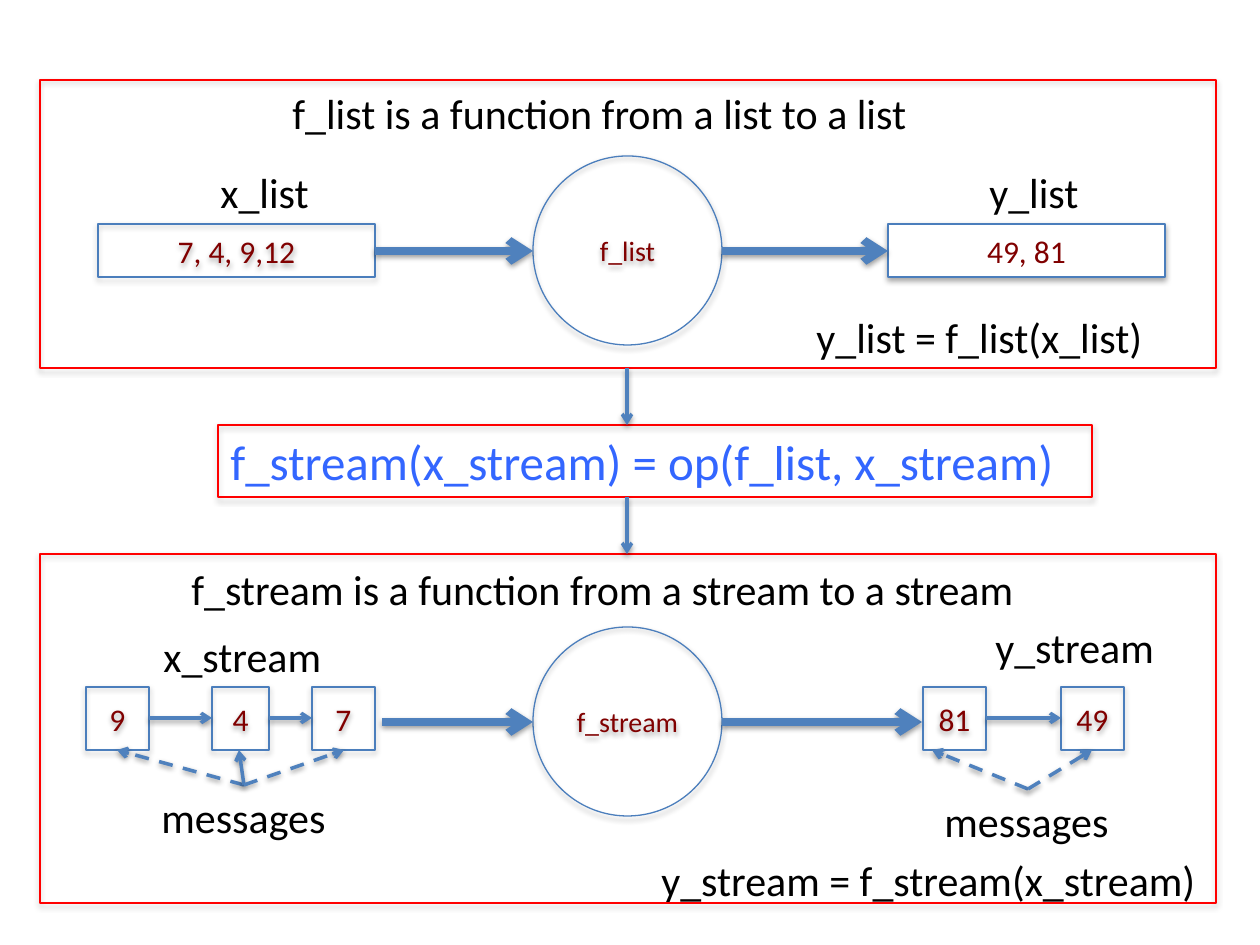
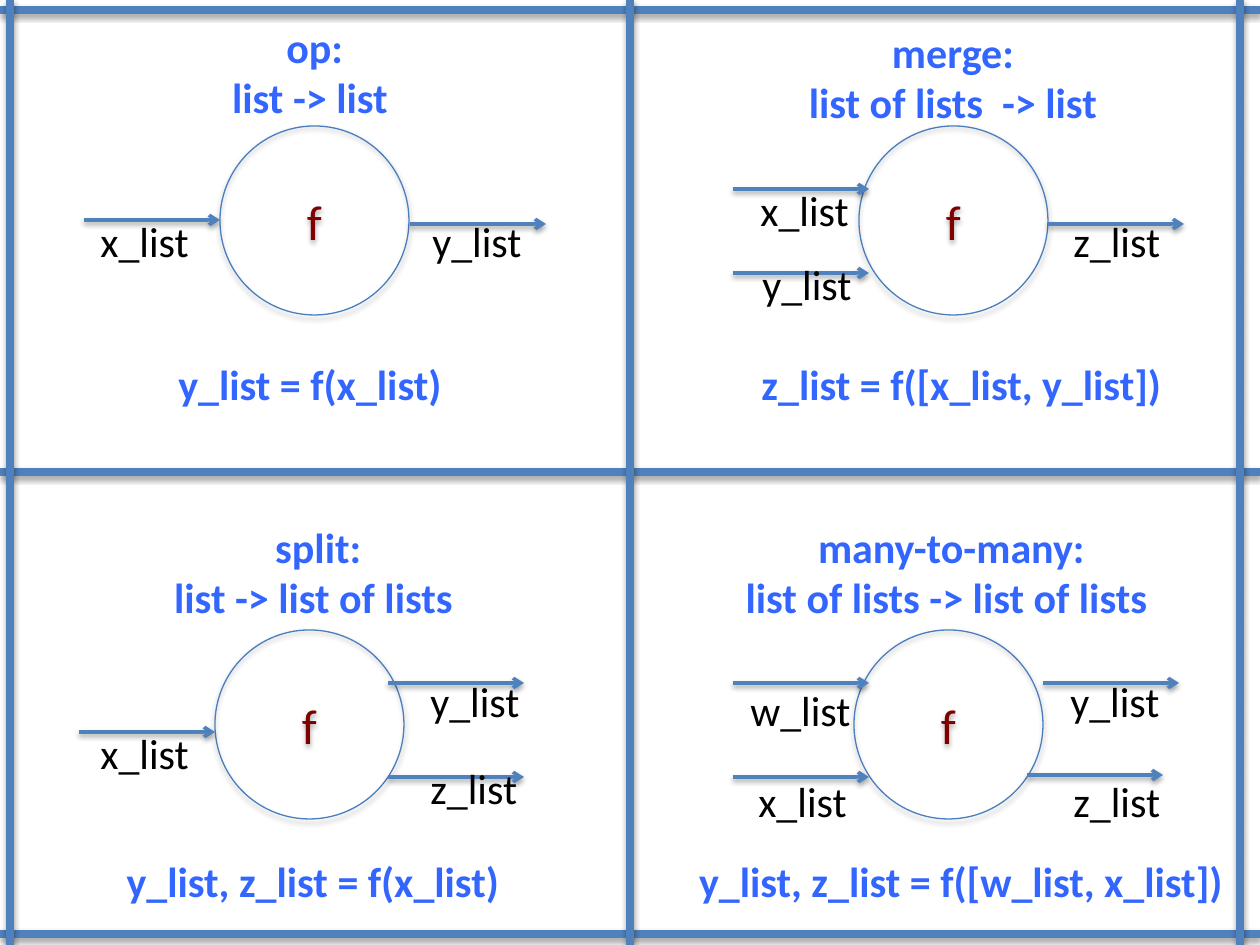
"""Build two slides on list and stream functions and their four wiring patterns."""
from lxml import etree
from pptx import Presentation, util as u
from pptx.dml.color import RGBColor
from pptx.enum import dml, shapes, text
from pptx.oxml import ns

SCALE = 914400 / 126
WIDTH, HEIGHT = 1260, 945
CIRCLE = 189
ARROW = 136
LINE_HEIGHT = 63
TITLE_HEIGHT = 115
THIN, MEDIUM, THICK = 0.75, 2, 4.5
FONT = "Calibri"
BLACK = RGBColor(0x00, 0x00, 0x00)
WHITE = RGBColor(0xFF, 0xFF, 0xFF)
MAROON = RGBColor(0x80, 0x00, 0x00)
RED = RGBColor(0xFF, 0x00, 0x00)
BRIGHT_BLUE = RGBColor(0x33, 0x66, 0xFF)
OUTLINE_BLUE = RGBColor(0x4B, 0x7E, 0xBC)
ARROW_BLUE = RGBColor(0x4F, 0x81, 0xBD)
RECTANGLE = shapes.MSO_SHAPE.RECTANGLE
OVAL = shapes.MSO_SHAPE.OVAL

PATTERNS = [
    {
        "circle": (220, 126),
        "title": (214, 15, 192, [" op:", "list -> list"]),
        "arrows": [(84, 220), (410, 224)],
        "labels": [(88, 209, 115, "x_list"), (420, 209, 116, "y_list")],
        "formula": (163, 352, 294, ["y_list = f(x_list)"]),
    },
    {
        "circle": (859, 126),
        "title": (794, 20, 318, ["merge:", "list of lists  -> list"]),
        "arrows": [(733, 189), (733, 273), (1048, 224)],
        "labels": [(748, 178, 115, "x_list"), (750, 252, 116, "y_list"),
                   (1061, 209, 113, "z_list")],
        "formula": (746, 352, 431, ["z_list = f([x_list, y_list])"]),
    },
    {
        "circle": (215, 630),
        "title": (159, 515, 309, [" split:", "list -> list of lists"]),
        "arrows": [(79, 732), (388, 683), (388, 777)],
        "labels": [(88, 721, 115, "x_list"), (418, 669, 116, "y_list"),
                   (418, 756, 113, "z_list")],
        "formula": (111, 849, 404, ["y_list, z_list = f(x_list)"]),
    },
    {
        "circle": (854, 630),
        "title": (730, 515, 433, [" many-to-many:", "list of lists -> list of lists"]),
        "arrows": [(733, 683), (733, 777), (1043, 683), (1027, 775)],
        "labels": [(738, 678, 127, "w_list"), (746, 769, 115, "x_list"),
                   (1058, 669, 116, "y_list"), (1061, 769, 113, "z_list")],
        "formula": (682, 849, 558, ["y_list, z_list = f([w_list, x_list])"]),
    },
]


def px(*lengths):
    """Turn pixel lengths into EMU."""
    return [u.Emu(round(length * SCALE)) for length in lengths]


def add_shadow(item, distance, opacity):
    """Give a shape or connector a soft black shadow straight below it."""
    effects = etree.SubElement(item._element.spPr, ns.qn("a:effectLst"))
    shadow = etree.SubElement(effects, ns.qn("a:outerShdw"), blurRad="40000",
                              dist=str(distance), dir="5400000", rotWithShape="0")
    color = etree.SubElement(shadow, ns.qn("a:srgbClr"), val=str(BLACK))
    etree.SubElement(color, ns.qn("a:alpha"), val=str(opacity * 1000))


def write(frame, lines, size, color, bold=False, align=text.PP_ALIGN.CENTER):
    """Fill a text frame with one paragraph for each line."""
    for index, line in enumerate(lines):
        para = frame.add_paragraph() if index else frame.paragraphs[0]
        para.text = line
        para.alignment = align
        para.font.name = FONT
        para.font.size = u.Pt(size)
        para.font.bold = bold
        para.font.color.rgb = color


def add_box(page, kind, place, words="", size=18, line=OUTLINE_BLUE, fill=None):
    """Add an outlined shape, with centred maroon words if any."""
    box = page.shapes.add_shape(kind, *px(*place))
    if fill is None:
        box.fill.background()
    else:
        box.fill.solid()
        box.fill.fore_color.rgb = fill
    box.line.color.rgb = line
    box.line.width = u.Pt(THIN)
    add_shadow(box, 23000, 35)
    if words:
        write(box.text_frame, [words], size, MAROON)


def add_circle(page, left, top, words, size):
    """Add a circle that stands for a function."""
    add_box(page, OVAL, (left, top, CIRCLE, CIRCLE), words, size)


def add_text_box(page, place):
    """Add an unwrapped text box and return its text frame."""
    frame = page.shapes.add_textbox(*px(*place)).text_frame
    frame.word_wrap = False
    frame.auto_size = text.MSO_AUTO_SIZE.SHAPE_TO_FIT_TEXT
    return frame


def add_label(page, left, top, width, words):
    """Add a plain black label of one line."""
    frame = add_text_box(page, (left, top, width, LINE_HEIGHT))
    write(frame, [words], 24, BLACK, align=text.PP_ALIGN.LEFT)


def add_heading(page, left, top, width, lines):
    """Add centred bold blue text."""
    height = TITLE_HEIGHT if len(lines) > 1 else LINE_HEIGHT
    write(add_text_box(page, (left, top, width, height)), lines, 24, BRIGHT_BLUE, bold=True)


def add_line(page, start, end, weight=MEDIUM, dashed=False, arrow=True):
    """Add a straight blue line, by default with an arrowhead at its end."""
    line = page.shapes.add_connector(shapes.MSO_CONNECTOR.STRAIGHT, *px(*start, *end))
    line.line.color.rgb = ARROW_BLUE
    line.line.width = u.Pt(weight)
    if dashed:
        line.line.dash_style = dml.MSO_LINE.DASH
    if arrow:
        outline = line._element.spPr.find(ns.qn("a:ln"))
        etree.SubElement(outline, ns.qn("a:tailEnd"), type="arrow")
    add_shadow(line, 20000, 38)


def add_flow(page, y, left, right):
    """Add the thick arrows into and out of the central circle."""
    add_line(page, (left, y), (533, y), THICK)
    add_line(page, (722, y), (right, y), THICK)


def build_list_panel(page):
    """Draw the function from a list to a list."""
    add_circle(page, 533, 156, "f_list", 16)
    add_box(page, RECTANGLE, (98, 224, 277, 53), "7, 4, 9,12")
    add_box(page, RECTANGLE, (888, 224, 277, 53), "49, 81", fill=WHITE)
    add_flow(page, 251, 375, 888)
    add_label(page, 208, 160, 115, "x_list")
    add_label(page, 977, 160, 116, "y_list")
    add_label(page, 280, 81, 648, "f_list is a function from a list to a list")
    add_label(page, 804, 305, 357, "y_list = f_list(x_list)")
    add_box(page, RECTANGLE, (40, 80, 1176, 288), line=RED)


def build_stream_panel(page):
    """Draw the function from a stream to a stream."""
    add_circle(page, 533, 627, "f_stream", 16)
    add_flow(page, 722, 382, 922)
    for left, width, words in [(86, 63, "9"), (212, 57, "4"), (312, 63, "7"),
                               (923, 63, "81"), (1061, 63, "49")]:
        add_box(page, RECTANGLE, (left, 687, width, 63), words)
    for left, right in [(149, 212), (269, 312), (986, 1061)]:
        add_line(page, (left, 718), (right, 718))
    for start, x, dashed in [((244, 785), 117, True), ((244, 785), 239, False),
                             ((244, 785), 344, True), ((1028, 789), 932, True),
                             ((1028, 789), 1092, True)]:
        add_line(page, start, (x, 750), dashed=dashed)
    add_label(page, 151, 624, 185, "x_stream")
    add_label(page, 983, 615, 186, "y_stream")
    add_label(page, 149, 785, 192, "messages")
    add_label(page, 932, 789, 192, "messages")
    add_label(page, 179, 557, 867, "f_stream is a function from a stream to a stream")
    add_label(page, 649, 848, 568, "y_stream = f_stream(x_stream)")
    add_box(page, RECTANGLE, (40, 554, 1176, 349), line=RED)


def build_operator(page):
    """Draw the operator that links the two panels."""
    frame = add_text_box(page, (218, 425, 862, 72))
    write(frame, ["f_stream(x_stream) = op(f_list, x_stream)"], 28, BRIGHT_BLUE,
          align=text.PP_ALIGN.LEFT)
    add_box(page, RECTANGLE, (218, 425, 874, 72), line=RED)
    for top, bottom in [(368, 425), (497, 554)]:
        add_line(page, (627, top), (627, bottom))


def build_pattern(page, pattern):
    """Draw one wiring pattern with its title and formula."""
    add_circle(page, *pattern["circle"], "f", 28)
    for x, y in pattern["arrows"]:
        add_line(page, (x, y), (x + ARROW, y))
    add_heading(page, *pattern["title"])
    for label in pattern["labels"]:
        add_label(page, *label)
    add_heading(page, *pattern["formula"])


def build_grid(page):
    """Draw the thick lines that part the four patterns."""
    for y in (10, 472, 934):
        add_line(page, (0, y), (WIDTH, y), THICK, arrow=False)
    for x in (10, 630, 1240):
        add_line(page, (x, 0), (x, HEIGHT), THICK, arrow=False)


def main():
    """Build and save the deck."""
    deck = Presentation()
    deck.slide_width, deck.slide_height = px(WIDTH, HEIGHT)
    blank = deck.slide_layouts[6]
    overview = deck.slides.add_slide(blank)
    build_list_panel(overview)
    build_stream_panel(overview)
    build_operator(overview)
    patterns = deck.slides.add_slide(blank)
    for pattern in PATTERNS:
        build_pattern(patterns, pattern)
    build_grid(patterns)
    deck.save("out.pptx")


main()
